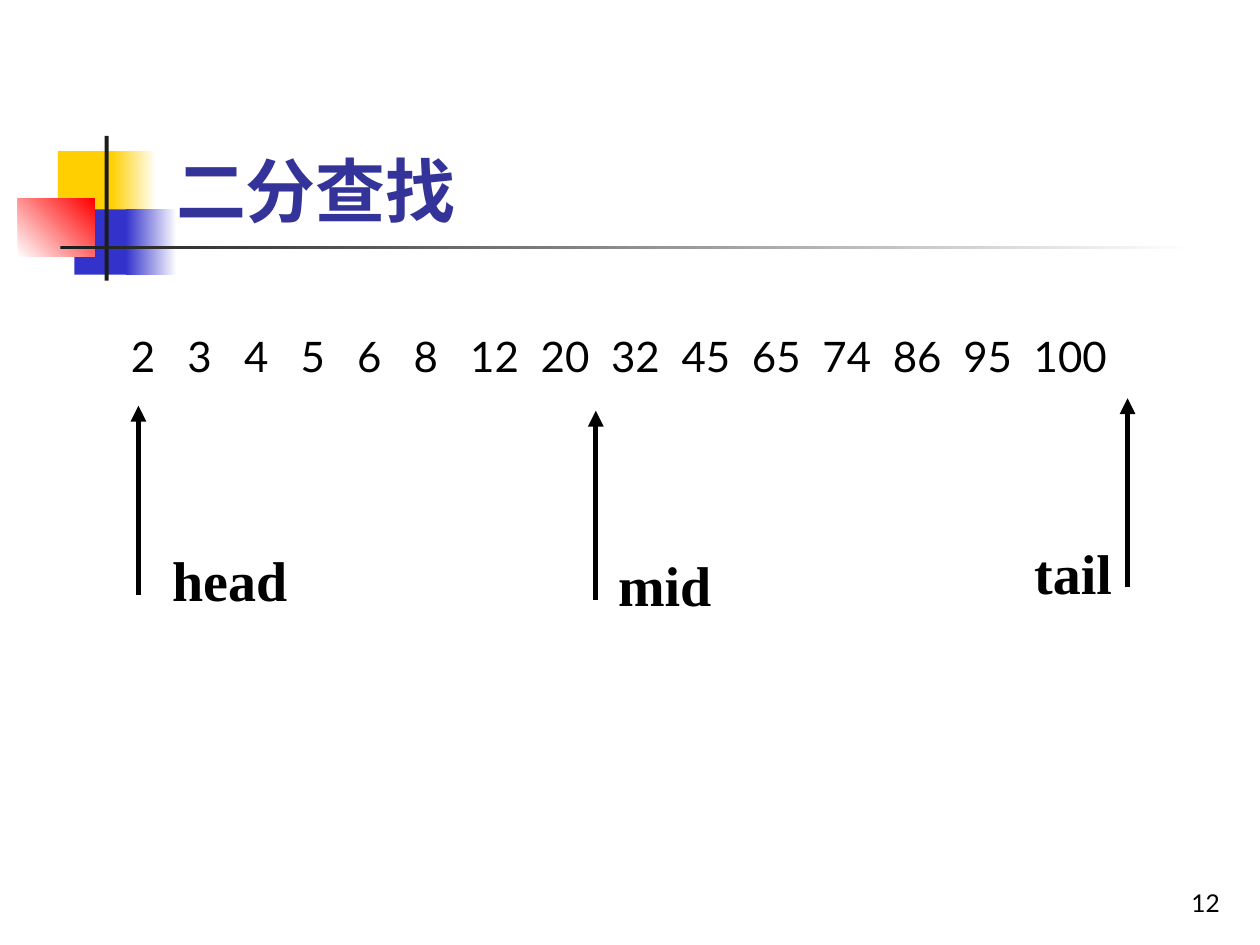
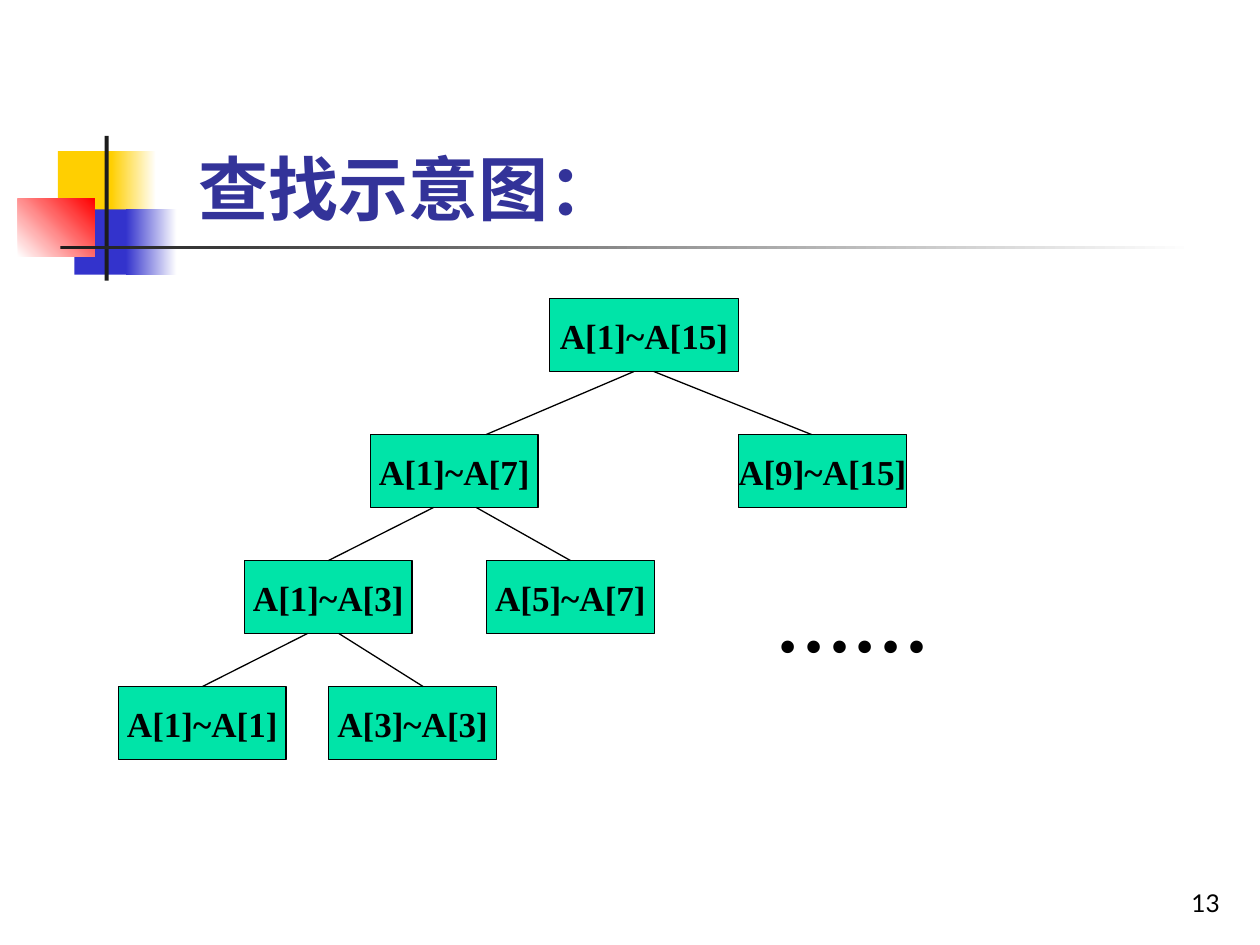
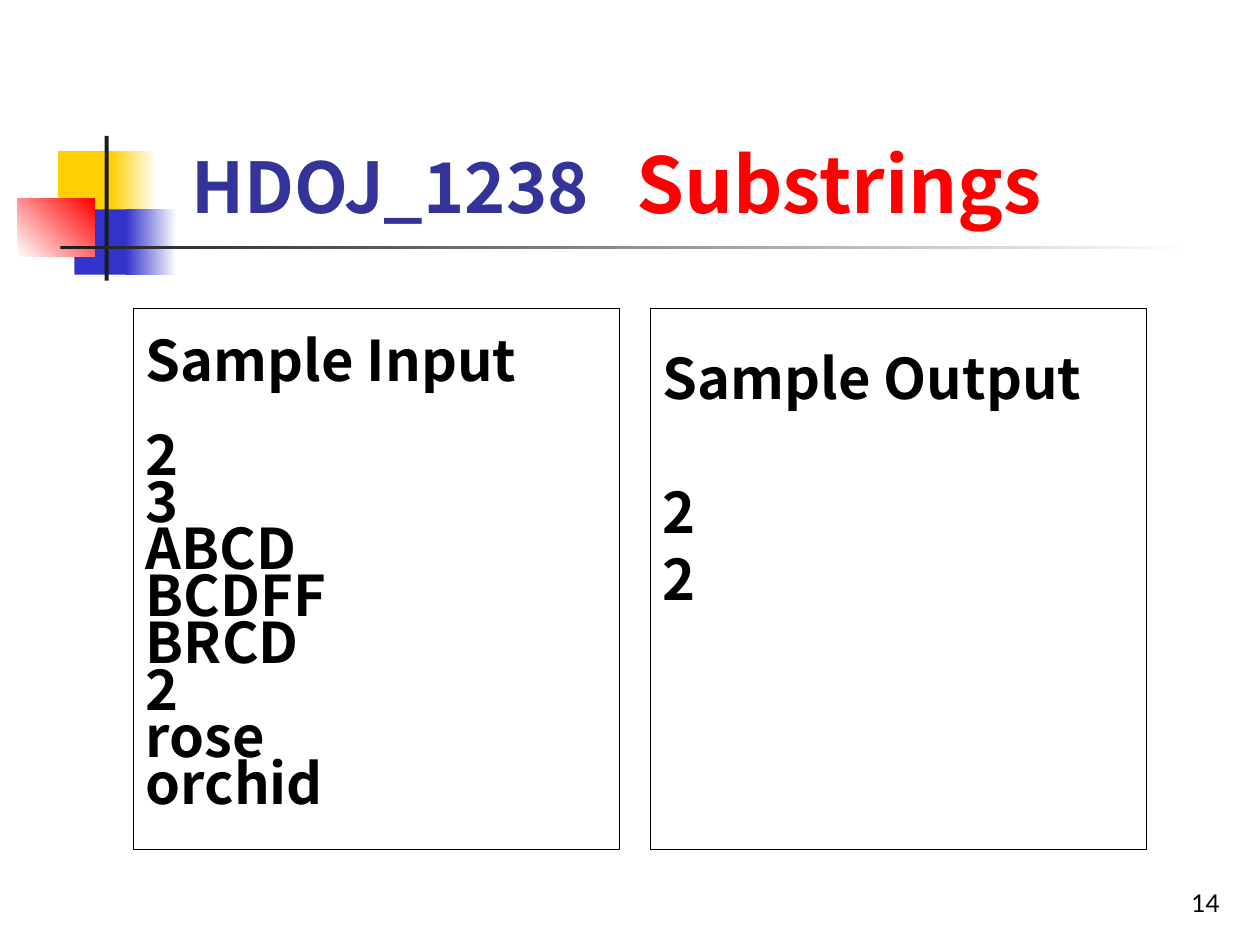
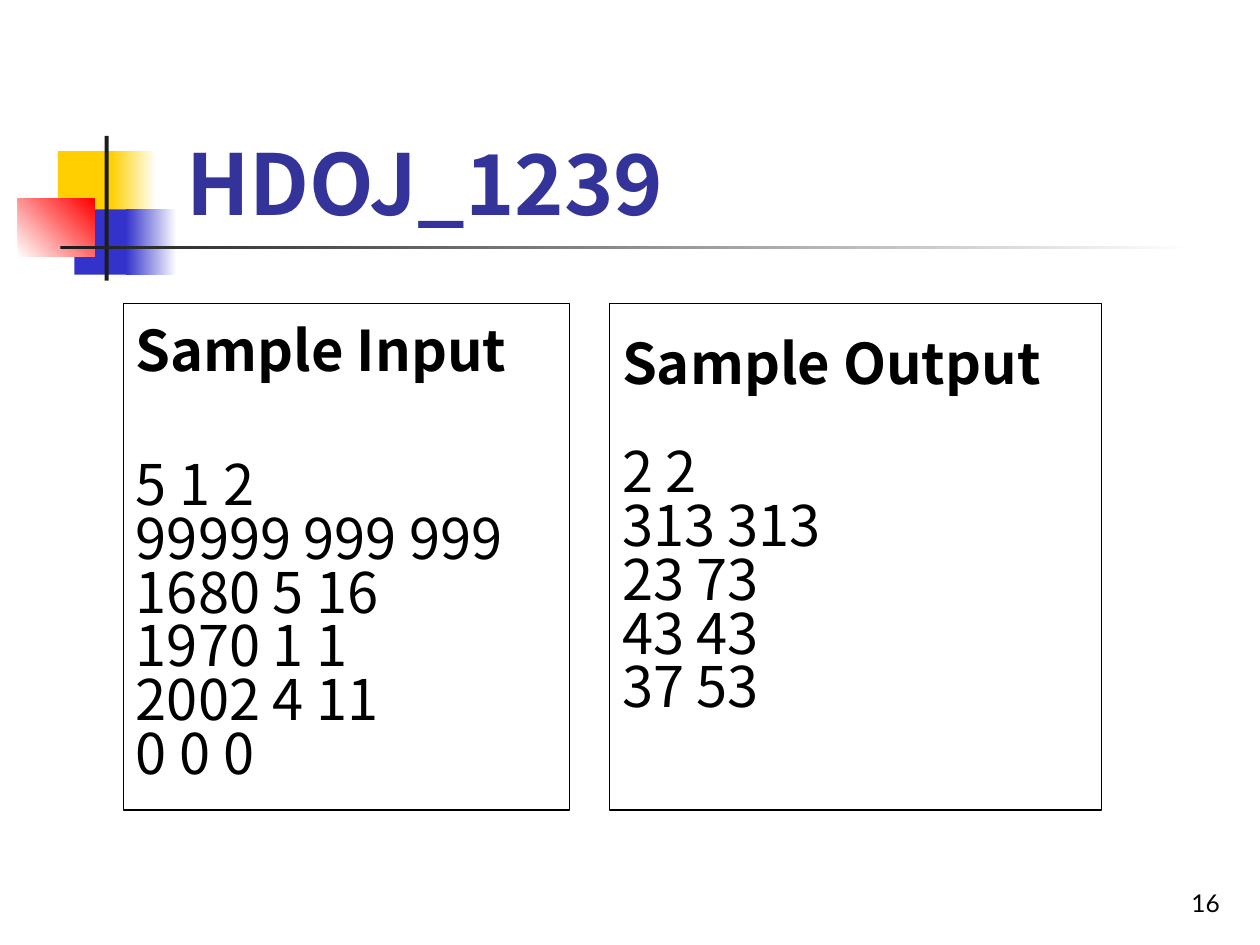
from lxml import etree
from pptx import Presentation
from pptx import util as u
from pptx.dml.color import RGBColor
from pptx.enum import shapes, text
from pptx.oxml.ns import qn

BLACK = RGBColor(0x00, 0x00, 0x00)
WHITE = RGBColor(0xFF, 0xFF, 0xFF)
INK = RGBColor(0x1C, 0x1C, 0x1C)
NAVY = RGBColor(0x33, 0x33, 0x99)
BLUE = RGBColor(0x33, 0x33, 0xCC)
YELLOW = RGBColor(0xFF, 0xCF, 0x01)
RED = RGBColor(0xFF, 0x00, 0x00)
MINT = RGBColor(0x00, 0xE4, 0xA8)

LATO, SERIF, CJK = "Lato", "Times New Roman", "Noto Sans CJK KR"
DECOR_BOX = (0.36, 2.74, 23.72, 2.92)
PAGE_BOX = (19.56, 17.35, 5.28, 1.27)


def cm(*lengths):
    return [u.Cm(length) for length in lengths]


def put_text(shape, paragraphs, size=32, font=CJK, color=BLACK, bold=True,
             align=text.PP_ALIGN.LEFT, anchor=text.MSO_ANCHOR.TOP, wrap=True,
             top=0.13, bottom=0.13, line=None, gap=0, tabs=()):
    """Fill a shape; a paragraph is a list of (text, changes to the format)."""
    frame = shape.text_frame
    frame.word_wrap, frame.vertical_anchor = wrap, anchor
    frame.margin_left, frame.margin_right = cm(0.25, 0.25)
    frame.margin_top, frame.margin_bottom = cm(top, bottom)
    for i, runs in enumerate(paragraphs):
        para = frame.add_paragraph() if i else frame.paragraphs[0]
        if tabs:
            stops = etree.SubElement(para._p.get_or_add_pPr(), qn("a:tabLst"))
            for stop in tabs:
                etree.SubElement(stops, qn("a:tab"), pos=str(u.Cm(stop)), algn="l")
        para.alignment = align
        if line:
            para.line_spacing = line
        if i:
            para.space_before = u.Pt(gap)
        for words, changes in runs:
            look = {"size": size, "color": color, "bold": bold, **changes}
            for j, row in enumerate(words.split("\n")):
                if j:
                    para.add_line_break()
                run = para.add_run()
                run.text = row
                run.font.name, run.font.size = font, u.Pt(look["size"])
                run.font.bold = look["bold"]
                run.font.color.rgb = look["color"]
                etree.SubElement(run.font._element, qn("a:ea"), typeface=CJK)


def add_text(slide, box, paragraphs, **look):
    put_text(slide.shapes.add_textbox(*cm(*box)), paragraphs, **look)


def add_rect(slide, box, fill=None, fade=None, angle=0, outline=None):
    rect = slide.shapes.add_shape(shapes.MSO_SHAPE.RECTANGLE, *cm(*box))
    rect.shadow.inherit = False
    if fade:
        rect.fill.gradient()
        rect.fill.gradient_angle = angle
        for stop, color in zip(rect.fill.gradient_stops, (fill, fade)):
            stop.color.rgb = color
    elif fill is not None:
        rect.fill.solid()
        rect.fill.fore_color.rgb = fill
    else:
        rect.fill.background()
    if outline is not None:
        rect.line.color.rgb = outline
        rect.line.width = u.Pt(0.75)
    else:
        rect.line.fill.background()
    return rect


def add_line(slide, start, end, width=0.75, arrow=False):
    line = slide.shapes.add_connector(shapes.MSO_CONNECTOR.STRAIGHT, *cm(*start, *end))
    line.line.color.rgb = BLACK
    line.line.width = u.Pt(width)
    if arrow:
        etree.SubElement(line.line._get_or_add_ln(), qn("a:tailEnd"), type="triangle")
    etree.SubElement(line._element.spPr, qn("a:effectLst"))
    return line


def add_decor(slide, box):
    left, top, width, height = box
    # coloured squares, then the two dark rules
    for x, y, w, h, fill, fade, angle in (
            (0.81, 0.31, 1.22, 1.32, YELLOW, None, 0),
            (1.88, 0.31, 0.91, 1.32, YELLOW, WHITE, 0),
            (1.14, 1.48, 1.17, 1.32, BLUE, None, 0),
            (2.18, 1.48, 1.02, 1.32, BLUE, WHITE, 0),
            (0, 1.27, 1.55, 1.17, WHITE, RED, 45),
            (1.75, 0, 0.08, height, INK, None, 0),
            (0.86, 2.21, width - 0.86, 0.08, INK, WHITE, 0)):
        add_rect(slide, (left + x, top + y, w, h), fill, fade, angle)


def new_slide(deck, page, title_box, title, **title_look):
    slide = deck.slides.add_slide(deck.slide_layouts[6])
    add_decor(slide, DECOR_BOX)
    add_text(slide, PAGE_BOX, [[(page, {})]], size=14, font=LATO, bold=False,
             align=text.PP_ALIGN.RIGHT, anchor=text.MSO_ANCHOR.BOTTOM)
    add_text(slide, title_box, [title], anchor=text.MSO_ANCHOR.BOTTOM,
             **{"size": 40, "color": NAVY, **title_look})
    return slide


def add_numbers(slide, box):
    numbers = "2 3 4 5 6 8 12 20 32 45 65 74 86 95 100".split()
    # one-digit numbers stand closer together than the others
    tabs, stop = [], 0
    for number in numbers[:-1]:
        stop += 1.14 if len(number) == 1 else 1.42
        tabs.append(round(stop, 2))
    add_text(slide, box, [[("\t".join(numbers), {})]], size=24, font=LATO,
             bold=False, tabs=tabs)


def add_pointer(slide, box, label, label_x, label_width):
    """An upright arrow along the left side of the box, and its label."""
    left, top, _, height = box
    add_line(slide, (left, top + height), (left, top), width=3, arrow=True)
    add_text(slide, (left + label_x, top + 2.54, label_width, 1.63),
             [[(label, {})]], font=SERIF, top=0.28)


def add_tree(slide, box):
    left, top, _, _ = box
    level, node_height, node_width = (0, 2.74, 5.28, 7.82), 1.47, 3.38
    nodes = {}
    for name, x, depth, width in (
            ("A[1]~A[15]", 8.69, 0, 3.81),
            ("A[1]~A[7]", 5.08, 1, node_width),
            ("A[9]~A[15]", 12.5, 1, node_width),
            ("A[1]~A[3]", 2.54, 2, node_width),
            ("A[5]~A[7]", 7.42, 2, node_width),
            ("A[1]~A[1]", 0, 3, node_width),
            ("A[3]~A[3]", 4.24, 3, node_width)):
        node = add_rect(slide, (left + x, top + level[depth], width, node_height),
                        MINT, outline=BLACK)
        put_text(node, [[(name, {})]], size=20, font=SERIF, wrap=False,
                 align=text.PP_ALIGN.CENTER, anchor=text.MSO_ANCHOR.MIDDLE)
        nodes[name] = node, depth
    # branches: start, end, child; joined where they meet the middle of its top
    for start, end, child, joined in (
            (10.39, 7.41, "A[1]~A[7]", False),
            (10.79, 13.97, "A[9]~A[15]", False),
            (6.35, 4.23, "A[1]~A[3]", True),
            (7.21, 9.11, "A[5]~A[7]", True),
            (3.81, 1.69, "A[1]~A[1]", True),
            (4.44, 6.14, "A[3]~A[3]", False)):
        node, depth = nodes[child]
        branch = add_line(slide, (left + start, top + level[depth - 1] + node_height),
                          (left + end, top + level[depth]))
        if joined:
            branch.end_connect(node, 0)
    # omitted part
    add_text(slide, (left + 13, top + 5.31, 4.24, 2.13), [[("……", {})]],
             size=44, font=SERIF, top=0.28)


def add_sample(slide, box, heading, rows, gap, line=None, bold=True, bottom=0.13):
    put_text(add_rect(slide, box, outline=BLACK),
             [[(heading, {})], [("\n".join(rows), {"bold": bold})]],
             anchor=text.MSO_ANCHOR.MIDDLE, gap=gap, line=line, bottom=bottom)


def main():
    deck = Presentation()
    deck.slide_width, deck.slide_height = cm(25.4, 19.05)

    # Binary search
    slide = new_slide(deck, "12", (3.3, 2.13, 17.35, 2.67), [("二分查找", {})], font=LATO)
    add_numbers(slide, (2.39, 6.53, 21.11, 1.65))
    add_pointer(slide, (2.79, 8.18, 3.61, 3.81), "head", 0.43, 3.18)
    add_pointer(slide, (12.01, 8.28, 3.38, 3.81), "mid", 0.2, 3.18)
    add_pointer(slide, (22.73, 8.03, 0.21, 3.81), "tail", -2.13, 2.34)

    # Search tree
    slide = new_slide(deck, "13", (3.76, 2.31, 12.14, 2.44), [("查找示意图：", {})], font=LATO)
    add_tree(slide, (2.39, 6.02, 17.24, 9.29))

    # Problem 1238
    slide = new_slide(deck, "14", (3.61, 2.72, 19, 2.03),
                      [("HDOJ_1238\t", {}), ("Substrings", {"size": 44, "color": RED})],
                      tabs=[8.97])
    add_sample(slide, (2.69, 6.22, 9.8, 10.9), "Sample Input",
               ["2", "3", "ABCD", "BCDFF", "BRCD", "2", "rose", "orchid"],
               gap=27, line=0.7)
    add_sample(slide, (13.11, 6.22, 10.01, 10.9), "Sample Output", ["2", "2"],
               gap=38, bottom=4.2)

    # Problem 1239
    slide = new_slide(deck, "16", (3.51, 2.51, 17.2, 2.31), [("HDOJ_1239", {})], size=48)
    add_sample(slide, (2.49, 6.12, 8.99, 10.21), "Sample Input",
               ["5 1 2", "99999 999 999", "1680 5 16", "1970 1 1", "2002 4 11", "0 0 0"],
               gap=46, line=0.8, bold=False)
    add_sample(slide, (12.29, 6.12, 9.91, 10.21), "Sample Output",
               ["2 2", "313 313", "23 73", "43 43", "37 53"],
               gap=31, line=0.8, bold=False, bottom=1.2)

    deck.save("out.pptx")


if __name__ == "__main__":
    main()
